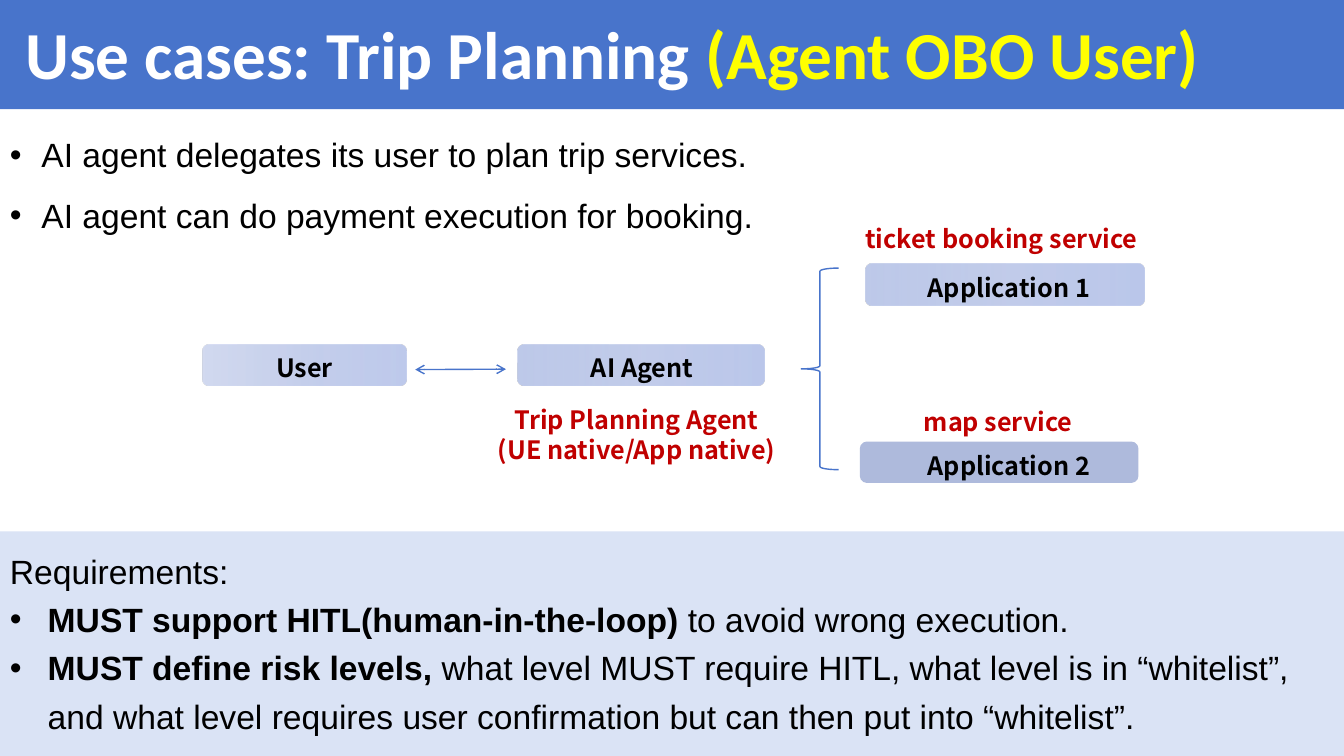
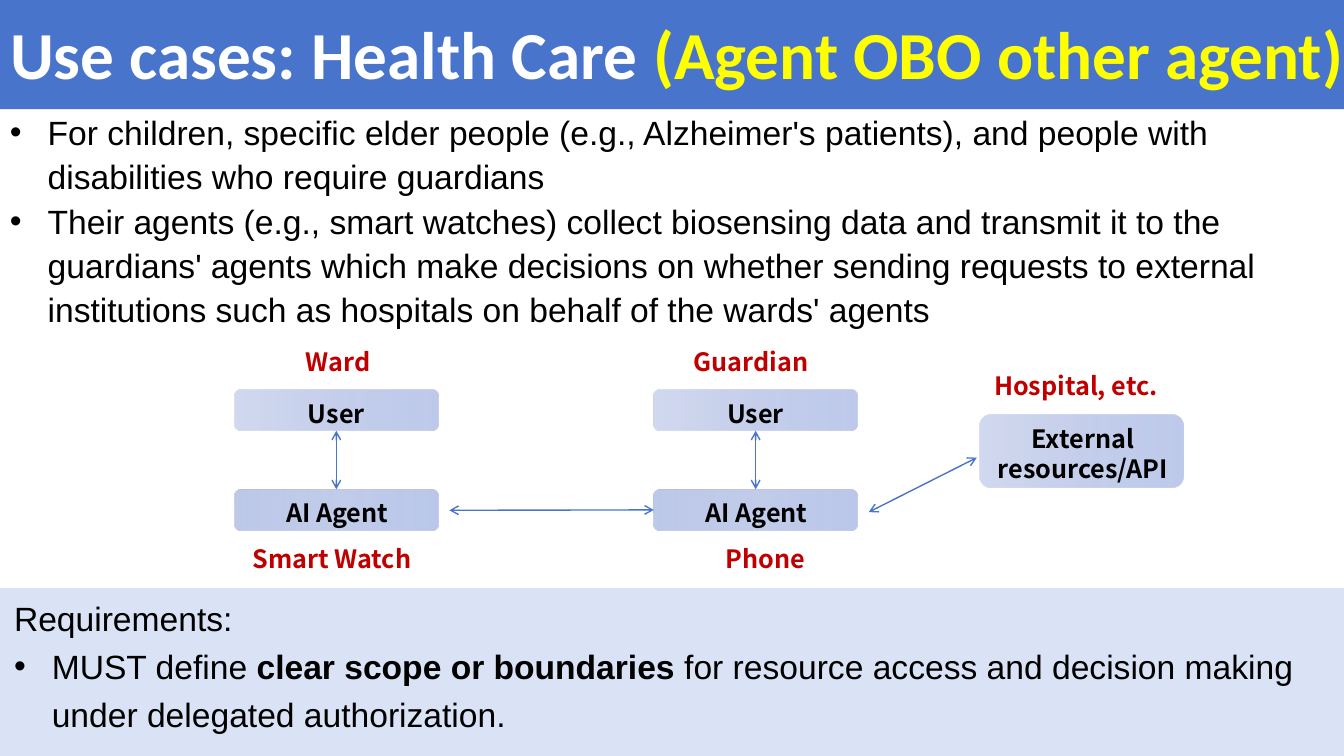
from lxml import etree
from pptx import Presentation
from pptx.dml.color import RGBColor
from pptx.enum.shapes import MSO_CONNECTOR as CONN, MSO_SHAPE as SHAPE
from pptx.enum.text import MSO_ANCHOR as ANCHOR, MSO_AUTO_SIZE as AUTO, PP_ALIGN as ALIGN
from pptx.oxml.ns import qn
from pptx.util import Pt

C = {"blue": "4874CB", "pale": "DAE3F5", "white": "FFFFFF", "black": "000000",
     "yellow": "FFFF00", "red": "C00000", "slate": "AEBADC"}
# Node gradients: (position %, colour, opacity %)
SOFT = [(0, "AAB9E3", 53), (50, "9CADDE", 58), (100, "8A9FDD", 55)]
FIRM = [(0, "AAB9E3", 76), (50, "9CADDE", 61), (100, "8A9FDD", 58)]
SLIDE_W, SLIDE_H, BAND_H = 960, 540, 78
NODE_H = 29.5
BODY = dict(size=24, font="Arial")
TAG = dict(size=18, font="Noto Sans CJK SC", bold=True, align=ALIGN.CENTER)


def rgb(name):
    return RGBColor.from_string(C[name])


def sub(parent, tag, **attrs):
    return etree.SubElement(parent, qn(tag), {k: str(v) for k, v in attrs.items()})


def write(tf, paras, size=18, font="Arial", color="black", bold=False,
          align=ALIGN.LEFT, spacing=1.0, indent=0, plain=0):
    """Fill tf; a paragraph is a string or a list of (text, overrides) runs.
    Paragraphs after the first `plain` ones get bullets if indent is set."""
    tf.word_wrap = True
    for i, runs in enumerate(paras):
        p = tf.paragraphs[0] if i == 0 else tf.add_paragraph()
        if indent and i >= plain:
            ppr = p._p.get_or_add_pPr()
            ppr.set("marL", str(Pt(indent)))
            ppr.set("indent", str(-Pt(indent)))
            sub(ppr, "a:buFont", typeface="Arial")
            sub(ppr, "a:buChar", char="•")
        p.alignment, p.line_spacing = align, spacing
        for text, over in [(runs, {})] if isinstance(runs, str) else runs:
            r = p.add_run()
            r.text = text
            r.font.name, r.font.size = font, Pt(size)
            r.font.bold = over.get("bold", bold)
            r.font.color.rgb = rgb(over.get("color", color))


def add_shape(slide, kind, x, y, w, h, fill=None, line=None):
    sp = slide.shapes.add_shape(kind, Pt(x), Pt(y), Pt(w), Pt(h))
    sp.shadow.inherit = False
    if fill:
        sp.fill.solid()
        sp.fill.fore_color.rgb = rgb(fill)
    else:
        sp.fill.background()
    if line:
        sp.line.color.rgb = rgb(line)
        sp.line.width = Pt(1)
    else:
        sp.line.fill.background()
    return sp


def set_gradient(sp, stops):
    sp.fill.gradient()
    sp.fill.gradient_angle = 0
    gs_lst = sp._element.spPr.find(qn("a:gradFill")).find(qn("a:gsLst"))
    for gs in list(gs_lst):
        gs_lst.remove(gs)
    for pos, color, alpha in stops:
        clr = sub(sub(gs_lst, "a:gs", pos=pos * 1000), "a:srgbClr", val=color)
        sub(clr, "a:alpha", val=alpha * 1000)


def add_title(slide, lead, actor, x, w):
    band = add_shape(slide, SHAPE.RECTANGLE, 0, 0, SLIDE_W, BAND_H, "blue")
    slide.shapes._spTree.insert(2, band._element)  # behind the title
    sp = slide.shapes.title
    sp.left, sp.top, sp.width, sp.height = Pt(x), Pt(13.7), Pt(w), Pt(54.7)
    tf = sp.text_frame
    tf.auto_size, tf.vertical_anchor = AUTO.NONE, ANCHOR.MIDDLE
    write(tf, [[(lead, {}), (actor, {"color": "yellow"})]], size=48,
          font="Calibri", color="white", bold=True, spacing=0.9)


def add_text(slide, paras, x, y, w, h, **fmt):
    sp = slide.shapes.add_textbox(Pt(x), Pt(y), Pt(w), Pt(h))
    write(sp.text_frame, paras, **fmt)


def add_label(slide, lines, cx, y, w=240):
    add_text(slide, lines, cx - w / 2, y, w, 26 * len(lines), color="red", **TAG)


def add_requirements(slide, paras, y, left, top):
    sp = add_shape(slide, SHAPE.RECTANGLE, 0, y, SLIDE_W, SLIDE_H - y, "pale")
    tf = sp.text_frame
    tf.vertical_anchor = ANCHOR.TOP
    tf.margin_left, tf.margin_top = Pt(left), Pt(top)
    write(tf, ["Requirements:"] + paras, spacing=1.2, indent=27, plain=1, **BODY)


def add_node(slide, lines, x, y, w=145.5, h=NODE_H, stops=None, nudge=0):
    """Rounded box; nudge moves the text right of the centre."""
    sp = add_shape(slide, SHAPE.ROUNDED_RECTANGLE, x, y, w, h, "slate")
    if stops:
        set_gradient(sp, stops)
    tf = sp.text_frame
    tf.vertical_anchor = ANCHOR.MIDDLE
    tf.margin_left, tf.margin_right = Pt(2 * nudge), 0
    tf.margin_top, tf.margin_bottom = Pt(4), 0
    write(tf, lines, **TAG)
    return sp


def add_arrow(slide, start=(0, 0), end=(0, 0), begin_at=None, end_at=None):
    """Two-headed arrow; begin_at and end_at are (shape, side) joins."""
    cx = slide.shapes.add_connector(CONN.STRAIGHT, *map(Pt, start + end))
    if begin_at:
        cx.begin_connect(*begin_at)
    if end_at:
        cx.end_connect(*end_at)
    cx.line.color.rgb = rgb("blue")
    cx.line.width = Pt(1)
    ln = cx.line._get_or_add_ln()
    sub(ln, "a:headEnd", type="arrow")
    sub(ln, "a:tailEnd", type="arrow")
    sub(cx._element.spPr, "a:effectLst")


def build_trip(slide):
    add_title(slide, "Use cases: Trip Planning ", "(Agent OBO User)", 10.8, 875)
    add_text(slide, ["AI agent delegates its user to plan trip services.",
                     "AI agent can do payment execution for booking."],
             0, BAND_H, SLIDE_W, 90, spacing=1.5, indent=22.5, **BODY)

    # User and agent
    add_node(slide, ["User"], 144.7, 246, stops=SOFT)
    add_node(slide, ["AI Agent"], 370, 246, 176, stops=FIRM, nudge=0.6)
    add_arrow(slide, (296.6, 264), (361.4, 263.7))
    add_label(slide, ["Trip Planning Agent", "(UE native/App native)"], 454.7, 285)

    # Applications
    add_shape(slide, SHAPE.LEFT_BRACE, 572.4, 191.5, 26.6, 144, line="blue")
    add_node(slide, ["Application 1"], 618.5, 188.6, 199, stops=FIRM, nudge=2.7)
    add_node(slide, ["Application 2"], 614.2, 315.4, 199, nudge=7)
    add_label(slide, ["ticket booking service"], 715.3, 156.2)
    add_label(slide, ["map service"], 713, 286.6)

    add_requirements(slide, [
        [("MUST support HITL(human-in-the-loop) ", {"bold": True}),
         ("to avoid wrong execution.", {})],
        [("MUST define risk levels, ", {"bold": True}),
         ("what level MUST require HITL, what level is in “whitelist”, and what "
          "level requires user confirmation but can then put into “whitelist”.", {})],
    ], 379.5, 7.2, 8)


def build_health(slide):
    add_title(slide, "Use cases: Health Care ", "(Agent OBO other agent)", 0, 968)
    add_text(slide, [
        "For children, specific elder people (e.g., Alzheimer's patients), and people "
        "with disabilities who require guardians",
        "Their agents (e.g., smart watches) collect biosensing data and transmit it to "
        "the guardians' agents which make decisions on whether sending requests to "
        "external institutions such as hospitals on behalf of the wards' agents",
    ], 0, 73.5, 952.5, 158, spacing=1.1, indent=27, **BODY)
    add_requirements(slide, [
        [("MUST define ", {}), ("clear scope or boundaries", {"bold": True}),
         (" for resource access and decision making under delegated authorization.", {})],
    ], 420, 10, 1)

    # Ward and guardian: box left, role and its centre, device and its centre
    agents = []
    for x, role, role_cx, device, device_cx in [
            (167.5, "Ward", 241.5, "Smart Watch", 237),
            (467, "Guardian", 536.5, "Phone", 546.5)]:
        user = add_node(slide, ["User"], x, 278.2, stops=SOFT)
        agent = add_node(slide, ["AI Agent"], x, 349.5, stops=FIRM, nudge=0.6)
        add_arrow(slide, begin_at=(user, 2), end_at=(agent, 0))
        add_label(slide, [role], role_cx, 243.5)
        add_label(slide, [device], device_cx, 384.2)
        agents.append(agent)
    add_arrow(slide, (321, 364.5), end_at=(agents[1], 1))

    # External resources
    add_node(slide, ["External", "resources/API"], 700, 296, h=52, stops=SOFT, nudge=0.7)
    add_label(slide, ["Hospital, etc."], 768.5, 260.8)
    add_arrow(slide, (697.7, 326.9), (620.6, 365.8))


def main():
    prs = Presentation()
    prs.slide_width, prs.slide_height = Pt(SLIDE_W), Pt(SLIDE_H)
    for build in (build_trip, build_health):
        build(prs.slides.add_slide(prs.slide_layouts[5]))
    prs.save("out.pptx")


if __name__ == "__main__":
    main()
